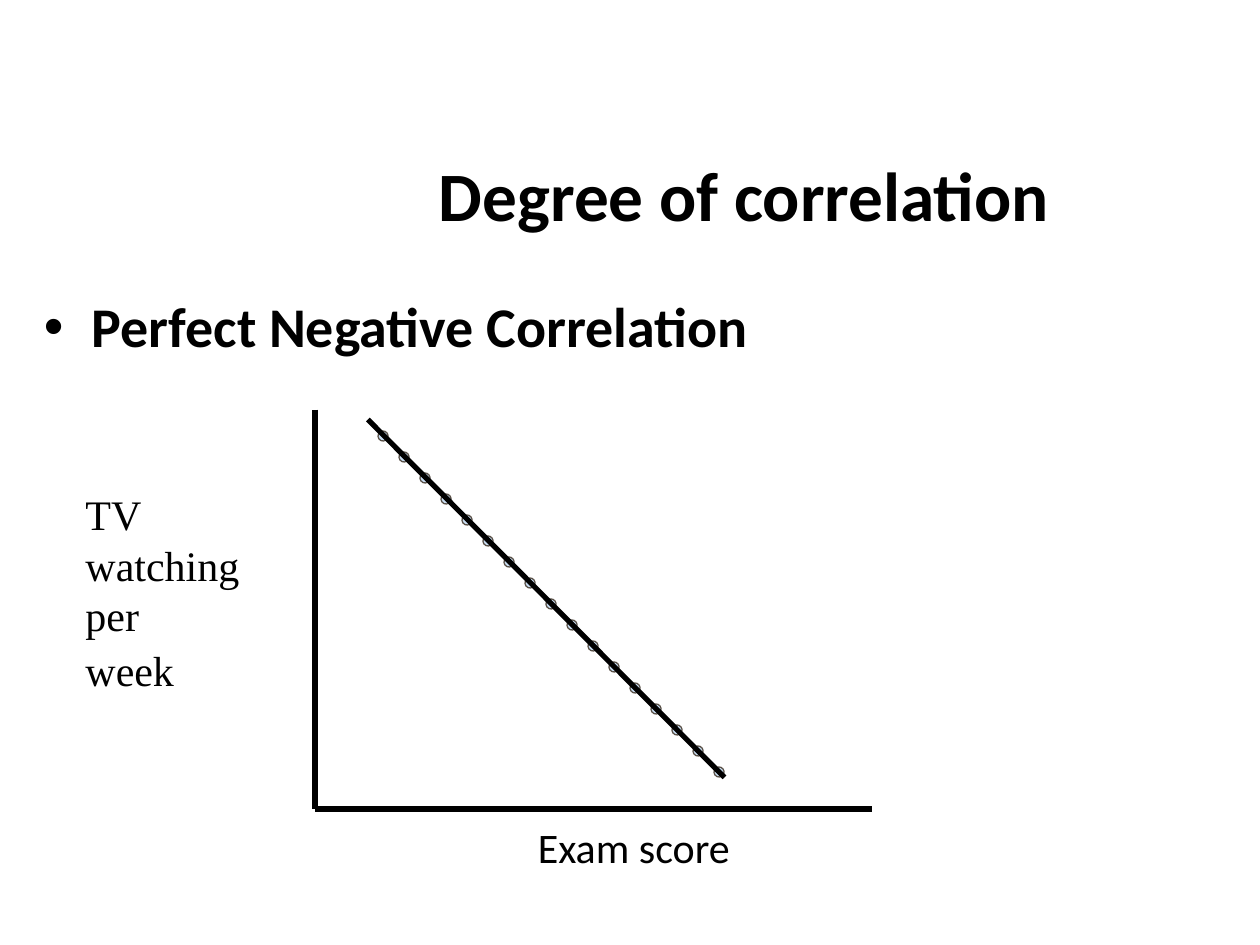
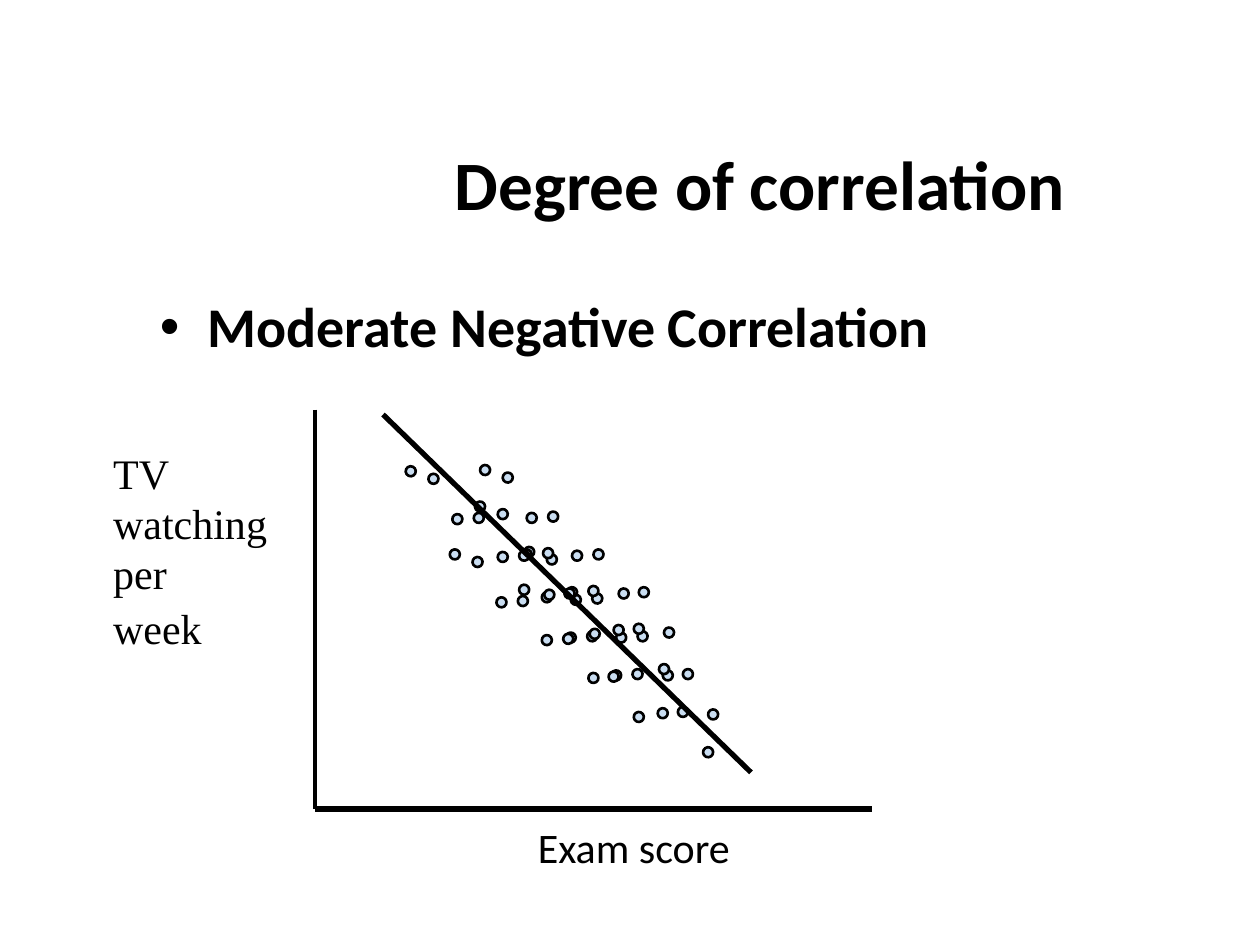
from lxml import etree
from pptx import Presentation
from pptx.dml.color import RGBColor
from pptx.enum.shapes import MSO_CONNECTOR, MSO_SHAPE
from pptx.enum.text import MSO_ANCHOR, PP_ALIGN
from pptx.oxml.ns import qn
from pptx.util import Inches, Pt

LINE, OVAL = MSO_CONNECTOR.STRAIGHT, MSO_SHAPE.OVAL
LEFT, CENTER = PP_ALIGN.LEFT, PP_ALIGN.CENTER
TOP, MIDDLE = MSO_ANCHOR.TOP, MSO_ANCHOR.MIDDLE
COLORS = {"ink": "000000", "dot": "C9DDF1", "dot_edge": "5B5249"}
DOT = 0.08

# Moderate correlation: one cluster of nine dots, repeated at six origins
CLUSTER = [(1.46, 1.29), (1.26, 0.97), (1.1, 0.98), (0.9, 0.67), (0.73, 0.68),
           (0.54, 0.37), (0.37, 0.38), (0.18, 0.06), (0, 0)]
ORIGINS = [(4.12, 4.64), (4.16, 4.34), (3.57, 4.36),
           (3.77, 3.98), (3.81, 3.69), (3.22, 3.7)]

SLIDES = [
    {"heading": "Perfect Negative Correlation",
     "title_top": 1.18, "title_inset": 1.07,
     "heading_box": (0.25, 2.3, 9.42, 4.87),
     "y_label_box": (0.58, 3.83, 1.67, 1.7),
     "y_axis_width": 3,
     "dots": [(3 + i / 6, 3.42 + i / 6) for i in range(17)],
     "dot_line": ("dot_edge", 0.75),
     "trend": (2.92, 3.33, 5.75, 6.17)},
    {"heading": "Moderate Negative Correlation",
     "title_top": 1.09, "title_inset": 1.32,
     "heading_box": (1.17, 2.3, 8.5, 0.83),
     "y_label_box": (0.8, 3.5, 1.53, 1.7),
     "y_axis_width": 2.25,
     "dots": [(x + dx, y + dy) for x, y in ORIGINS for dx, dy in CLUSTER],
     "dot_line": ("ink", 1.5),
     "trend": (3.04, 3.29, 5.96, 6.13)},
]


def add_text(s, box, lines, size, font="Calibri", bold=False, align=LEFT,
             anchor=TOP, spacing=0.95, wrap=True):
    sp = s.shapes.add_textbox(*map(Inches, box))
    tf = sp.text_frame
    tf.word_wrap = wrap
    tf.vertical_anchor = anchor
    tf.text = "\n".join(lines)
    for p in tf.paragraphs:
        p.alignment = align
        p.line_spacing = spacing
        for r in p.runs:
            r.font.size = Pt(size)
            r.font.name = font
            r.font.bold = bold
            r.font.color.rgb = RGBColor.from_string(COLORS["ink"])
    return tf


def add_line(s, ends, width):
    line = s.shapes.add_connector(LINE, *map(Inches, ends))
    line.line.color.rgb = RGBColor.from_string(COLORS["ink"])
    line.line.width = Pt(width)
    etree.SubElement(line._element.spPr, qn("a:effectLst"))


prs = Presentation()
prs.slide_width, prs.slide_height = Inches(10), Inches(7.5)

for data in SLIDES:
    s = prs.slides.add_slide(prs.slide_layouts[6])

    # Title, pushed right by its left inset
    tf = add_text(s, (1.17, data["title_top"], 8.5, 0.78), ["Degree of correlation"],
                  39.6, bold=True, align=CENTER, anchor=MIDDLE)
    tf.margin_left = Inches(data["title_inset"])

    # Bulleted heading
    tf = add_text(s, data["heading_box"], [data["heading"]], 32, bold=True)
    pPr = tf.paragraphs[0]._p.get_or_add_pPr()
    pPr.set("marL", str(Inches(0.38)))
    pPr.set("indent", str(Inches(-0.38)))
    etree.SubElement(pPr, qn("a:buFont")).set("typeface", "Arial")
    etree.SubElement(pPr, qn("a:buChar")).set("char", "•")

    # Axes and their labels
    add_line(s, (2.5, 3.25, 2.5, 6.42), data["y_axis_width"])
    add_line(s, (2.5, 6.42, 6.92, 6.42), 3)
    add_text(s, (4.17, 6.5, 1.76, 0.5), ["Exam score"], 24, wrap=False)
    tf = add_text(s, data["y_label_box"], ["TV watching per", "week"], 24,
                  font="Times New Roman", spacing=1.0)
    tf.paragraphs[1].space_before = Pt(2.4)

    # Scatter dots
    edge, width = data["dot_line"]
    for x, y in data["dots"]:
        sp = s.shapes.add_shape(OVAL, *map(Inches, (x, y, DOT, DOT)))
        sp.rotation = 175
        sp.shadow.inherit = False
        sp.fill.solid()
        sp.fill.fore_color.rgb = RGBColor.from_string(COLORS["dot"])
        sp.line.color.rgb = RGBColor.from_string(COLORS[edge])
        sp.line.width = Pt(width)

    # Trend line over the dots
    add_line(s, data["trend"], 3)

prs.save("out.pptx")
